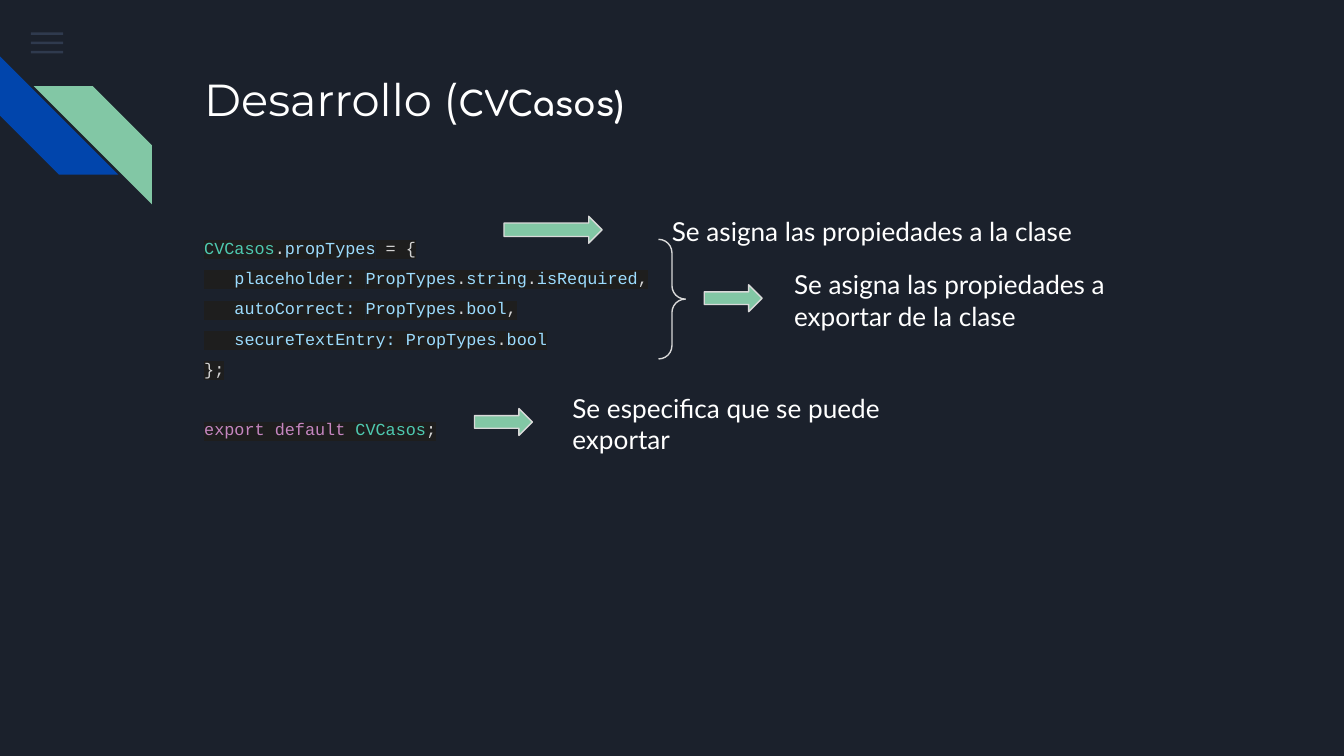
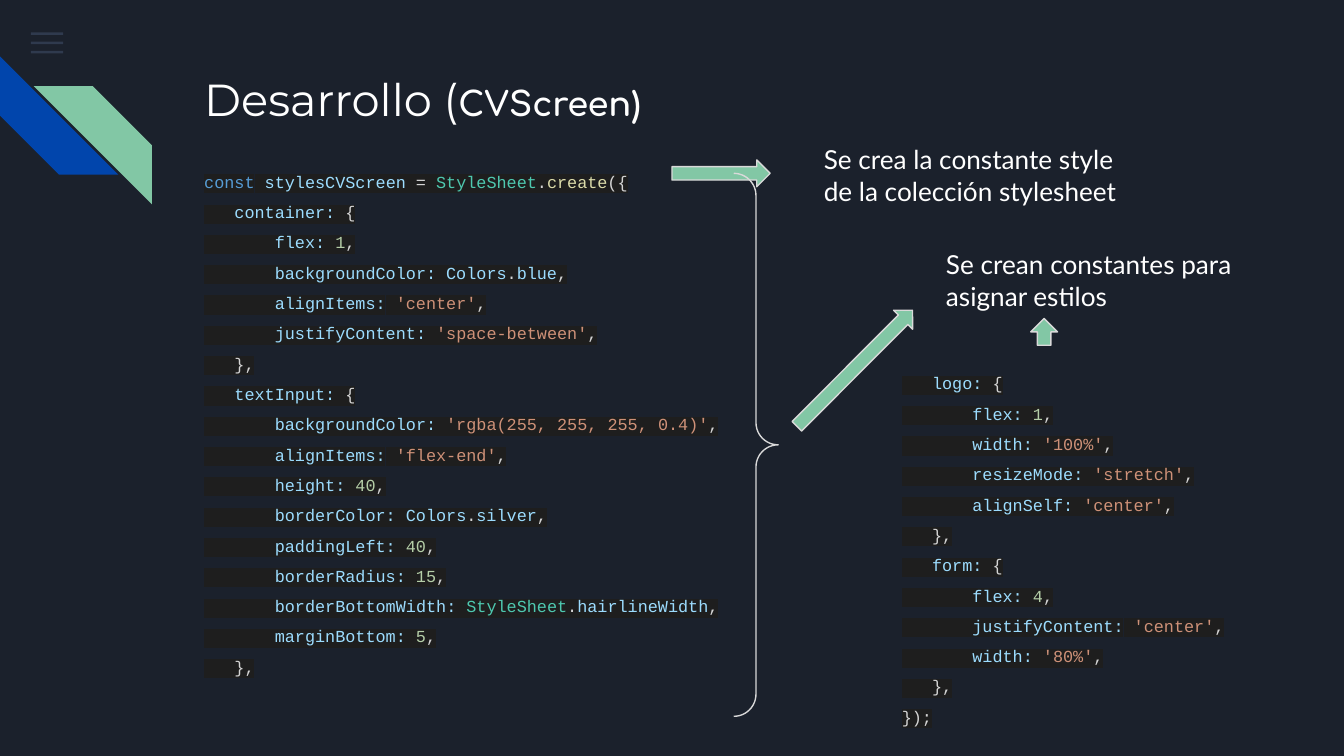
"""Build two slides that explain code with arrows, braces and notes."""
import itertools

import pptx
import pptx.dml.color
import pptx.enum.shapes
import pptx.enum.text
import pptx.oxml.ns
import pptx.util
from lxml import etree

Pt = pptx.util.Pt
KIND = pptx.enum.shapes.MSO_SHAPE
TEXT = pptx.enum.text

DARK, BLUE, GREEN, SLATE = "1B212C", "0145AC", "82C7A5", "55688B"
WHITE, EDGE, SHADE = "FFFFFF", "D9D9D9", "1E1E1E"
PLAIN, NAME, DIGIT, QUOTE = "D4D4D4", "9CDCFE", "B5CEA8", "CE9178"
WORDS = {
    "const": "569CD6", "export": "C586C0", "default": "C586C0",
    "create": "DCDCAA", "StyleSheet": "4EC9B0", "CVCasos": "4EC9B0",
}
PITCH = 16.25

PROPS = """\
CVCasos.propTypes = {
   placeholder: PropTypes.string.isRequired,
   autoCorrect: PropTypes.bool,
   secureTextEntry: PropTypes.bool
};

export default CVCasos;"""

STYLES = """\
const stylesCVScreen = StyleSheet.create({
   container: {
       flex: 1,
       backgroundColor: Colors.blue,
       alignItems: 'center',
       justifyContent: 'space-between',
   },
   textInput: {
       backgroundColor: 'rgba(255, 255, 255, 0.4)',
       alignItems: 'flex-end',
       height: 40,
       borderColor: Colors.silver,
       paddingLeft: 40,
       borderRadius: 15,
       borderBottomWidth: StyleSheet.hairlineWidth,
       marginBottom: 5,
   },"""

FORM = """\
   logo: {
       flex: 1,
       width: '100%',
       resizeMode: 'stretch',
       alignSelf: 'center',
   },
   form: {
       flex: 4,
       justifyContent: 'center',
       width: '80%',
   },
});"""


def paint(target, tone):
    """Give a fill or a colour format the hex colour."""
    color = target
    if hasattr(target, "solid"):
        target.solid()
        color = target.fore_color
    color.rgb = pptx.dml.color.RGBColor.from_string(tone)


def child(parent, tag, **attrs):
    """Append a drawing element to its parent."""
    return etree.SubElement(parent, pptx.oxml.ns.qn("a:" + tag), attrs)


def place(shape, box):
    """Move a shape to its box."""
    shape.left, shape.top, shape.width, shape.height = map(Pt, box)


def frame(shape):
    """Prepare the text frame of a box, anchored at the top."""
    area = shape.text_frame
    area.word_wrap = True
    area.auto_size = TEXT.MSO_AUTO_SIZE.NONE
    area.vertical_anchor = TEXT.MSO_ANCHOR.TOP
    area.margin_left = area.margin_right = Pt(7.2)
    area.margin_top = area.margin_bottom = Pt(7.2)
    return area


def form(slide, kind, box, fill=None, line=None, turn=0):
    """Add a preset shape without shadow."""
    shape = slide.shapes.add_shape(kind, *map(Pt, box))
    shape.shadow.inherit = False
    shape.rotation = turn
    if fill:
        paint(shape.fill, fill)
    else:
        shape.fill.background()
    if line:
        paint(shape.line.fill, line)
        shape.line.width = Pt(0.75)
    else:
        shape.line.fill.background()
    return shape


def menu(slide, box):
    """Draw the three faint bars of the menu sign."""
    left, top, width, step = box
    for row in range(3):
        bar = form(slide, KIND.RECTANGLE, (left, top + row * step, width, 1.4), SLATE)
        color = bar._element.spPr.find(".//" + pptx.oxml.ns.qn("a:srgbClr"))
        child(color, "alpha", val="36000")


def bands(slide, box):
    """Draw the blue and green diagonal bands."""
    left, top, size = box
    form(slide, KIND.DIAGONAL_STRIPE, (left, top, size, size), BLUE, turn=270)
    green = form(slide, KIND.DIAGONAL_STRIPE,
                 (left + 18, top + 15.9, size, size), GREEN)
    green._element.spPr.find(pptx.oxml.ns.qn("a:xfrm")).set("flipH", "1")


def title(slide, box, name):
    """Fill the title with the section and the name of the class."""
    shape = slide.shapes.title
    place(shape, box)
    para = frame(shape).paragraphs[0]
    para.alignment = TEXT.PP_ALIGN.LEFT
    paint(para.font.color, WHITE)
    for text, face, size, bold in (
        ("Desarrollo (", "Montserrat", 24, False),
        (name + ")", "Comfortaa", 18, True),
    ):
        run = para.add_run()
        run.text = text
        run.font.name, run.font.size, run.font.bold = face, Pt(size), bold
        paint(run.font.color, WHITE)


def tokens(line):
    """Yield the pieces of a code line with their colours."""
    for spot, part in enumerate(line.split("'")):
        if spot % 2:
            yield f"'{part}'", QUOTE
            continue
        for word, group in itertools.groupby(part, lambda c: c.isalnum() or c == ":"):
            piece = "".join(group)
            tone = DIGIT if piece.isdigit() else WORDS.get(piece, NAME)
            yield piece, tone if word else PLAIN


def code(shape, box, source):
    """Fill a body placeholder with coloured code."""
    place(shape, box)
    area = frame(shape)
    para, gap = area.paragraphs[0], 0
    for row, line in enumerate(source.splitlines()):
        if not line:
            gap = PITCH
            continue
        if row:
            para = area.add_paragraph()
        para.alignment = TEXT.PP_ALIGN.LEFT
        para.line_spacing, para.space_before = Pt(PITCH), Pt(gap)
        gap = 0
        props = para._p.get_or_add_pPr()
        props.set("marL", "0")
        props.set("indent", "0")
        child(props, "buNone")
        para.font.name, para.font.size = "Courier New", Pt(9)
        for text, tone in tokens(line):
            run = para.add_run()
            run.text = text
            paint(run.font.color, tone)
            mark = child(run._r.get_or_add_rPr(), "highlight")
            child(mark, "srgbClr", val=SHADE)


def note(slide, box, text):
    """Add an explanation in white."""
    area = frame(slide.shapes.add_textbox(*map(Pt, box)))
    para = area.paragraphs[0]
    para.text = text
    para.font.name, para.font.size = "Lato", Pt(14)
    paint(para.font.color, WHITE)


def arrow(slide, box, turn=0, thick=0.5):
    """Add a green block arrow, 14.4 points high."""
    shape = form(slide, KIND.RIGHT_ARROW, (*box, 14.4), GREEN, EDGE, turn)
    shape.adjustments[0] = thick


def brace(slide, box):
    """Add a right brace with round corners."""
    shape = form(slide, KIND.RIGHT_BRACE, box, line=EDGE)
    shape.adjustments[0] = shape.adjustments[1] = 0.5


def page(deck, layout, name):
    """Add a slide with the shared marks and title."""
    slide = deck.slides.add_slide(deck.slide_layouts[layout])
    menu(slide, (16.6, 17.3, 17.3, 5))
    bands(slide, (0, 30.2, 63.4))
    title(slide, (102.2, 31, 554.4, 72), name)
    return slide


def cases(deck):
    """Build the slide on the properties of the class."""
    slide = page(deck, 1, "CVCasos")
    code(slide.placeholders[1], (102.2, 114.5, 299.5, 139), PROPS)
    note(slide, (352.8, 108, 260.6, 30.2), "Se asigna las propiedades a la clase")
    arrow(slide, (270, 115.9, 52.6))
    brace(slide, (352.8, 128.2, 14.4, 64.1))
    note(slide, (418.3, 136.8, 199.4, 47.5),
         "Se asigna las propiedades a exportar de la clase")
    arrow(slide, (377.3, 152.6, 31), thick=0.47)
    arrow(slide, (254.2, 218.9, 31), thick=0.47)
    note(slide, (299.5, 203, 186.5, 46.8), "Se especifica que se puede exportar")


def screen(deck):
    """Build the slide on the styles of the screen."""
    slide = page(deck, 3, "CVScreen")
    code(slide.placeholders[1], (102.2, 79.2, 299.5, 305.3), STYLES)
    arrow(slide, (414, 190.1, 87.8), turn=314.9)
    note(slide, (434.2, 69.8, 186.5, 46.8),
         "Se crea la constante style de la colección stylesheet")
    arrow(slide, (360, 85.7, 52.6))
    brace(slide, (393.1, 92.9, 23.8, 290.9))
    note(slide, (499.7, 126, 186.5, 46.8),
         "Se crean constantes para asignar estilos")
    code(slide.placeholders[2], (475.9, 187.2, 210.2, 208), FORM)
    arrow(slide, (552.2, 170.6, 14.4), turn=270)


def main():
    """Build and save the deck."""
    deck = pptx.Presentation()
    deck.slide_width, deck.slide_height = Pt(720), Pt(405)
    paint(deck.slide_master.background.fill, DARK)
    cases(deck)
    screen(deck)
    deck.save("out.pptx")


if __name__ == "__main__":
    main()
